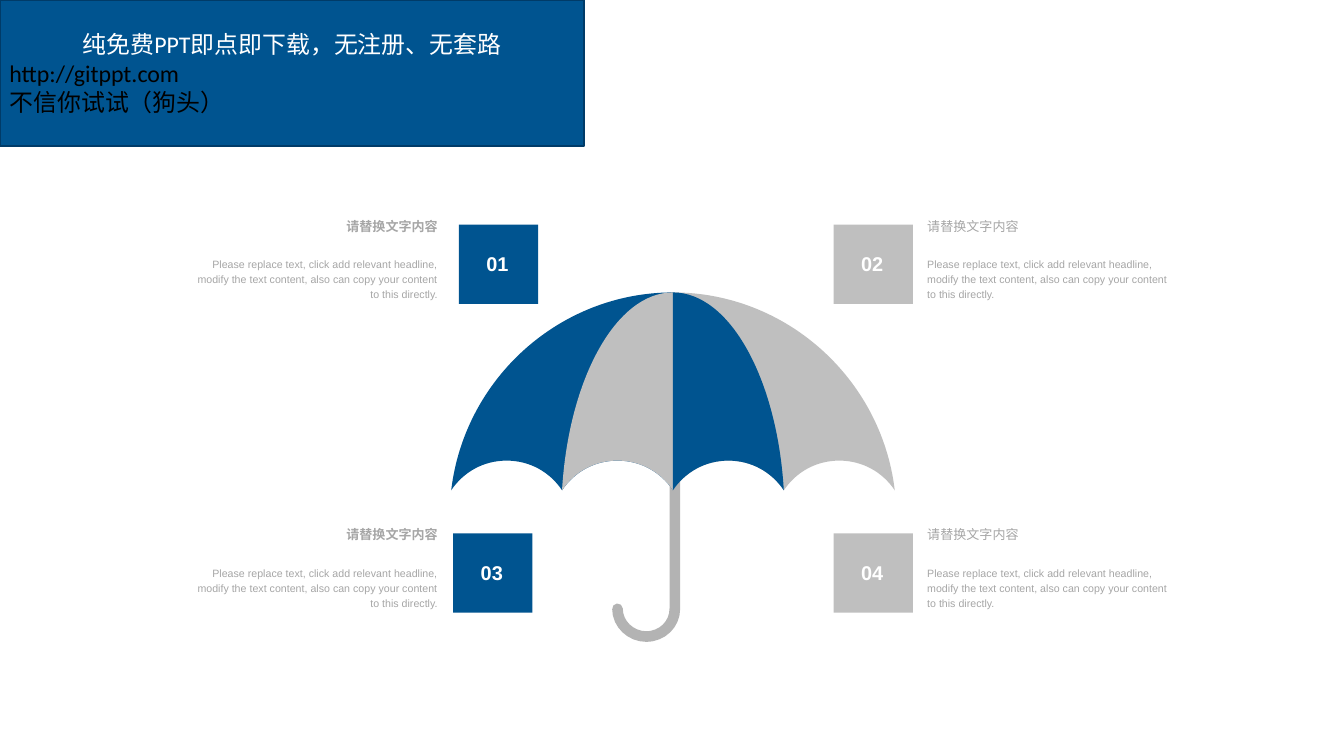
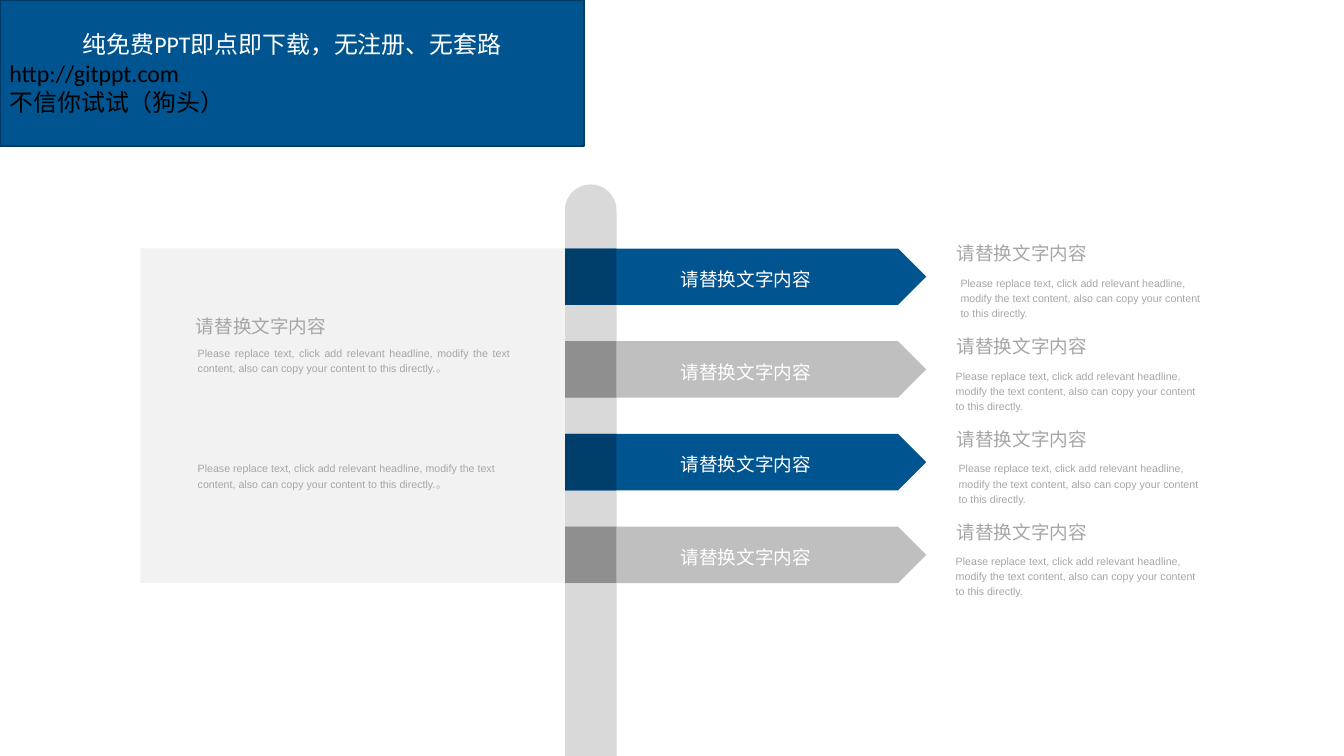
from lxml import etree
from pptx import Presentation
from pptx.dml.color import RGBColor
from pptx.enum.shapes import MSO_SHAPE as Shape
from pptx.enum.text import MSO_ANCHOR as Anchor, PP_ALIGN as Align
from pptx.oxml.ns import qn
from pptx.util import Inches, Pt

BLUE, NAVY, GRAY, DARK_GRAY = "005490", "003F6C", "BFBFBF", "8F8F8F"
TEXT, WHITE, BLACK = "A6A6A6", "FFFFFF", "000000"
HEADING = "请替换文字内容"
BODY = ("Please replace text, click add relevant headline, modify the text "
        "content, also can copy your content to this directly.")

TIGHT = dict(margin_left=0, margin_right=0, margin_top=0, margin_bottom=0)
HEAD_TIGHT = dict(TIGHT, margin_top=0.11, margin_bottom=0.11)
PADDED = dict(margin_left=0.1, margin_right=0.1, margin_top=0.05, margin_bottom=0.05)


def paint(sp, fill):
    """Give a shape a flat fill without outline or shadow."""
    sp.shadow.inherit = False
    sp.fill.solid()
    sp.fill.fore_color.rgb = RGBColor.from_string(fill)
    sp.line.fill.background()
    return sp


def write(sp, text, size, margins, color=TEXT, align=Align.LEFT, spacing=1.2,
          bold=False, anchor=Anchor.TOP, font="Arial"):
    """Add a paragraph to a shape or text box, filling an empty first one."""
    tf = sp.text_frame
    tf.word_wrap = True
    tf.vertical_anchor = anchor
    for side, gap in margins.items():
        setattr(tf, side, Inches(gap))
    p = tf.add_paragraph() if tf.text else tf.paragraphs[0]
    p.alignment, p.line_spacing = align, spacing
    r = p.add_run()
    r.text = text
    for name, value in dict(name=font, size=Pt(size), bold=bold).items():
        setattr(r.font, name, value)
    r.font.color.rgb = RGBColor.from_string(color)


prs = Presentation()
prs.slide_width, prs.slide_height = Inches(14.06), Inches(7.91)
umbrella, signpost = [prs.slides.add_slide(prs.slide_layouts[6]) for _ in range(2)]

# Band shared by both slides
for s in (umbrella, signpost):
    band = paint(s.shapes.add_shape(Shape.RECTANGLE, 0, 0, Inches(6.11), Inches(1.53)), BLUE)
    band.line.color.rgb = RGBColor.from_string("003B68")
    band.line.width = Pt(1)
    for text, color, align in (("纯免费PPT即点即下载，无注册、无套路", WHITE, Align.CENTER),
                               ("http://gitppt.com", BLACK, Align.LEFT),
                               ("不信你试试（狗头）", BLACK, Align.LEFT)):
        write(band, text, 18, PADDED, color, align, 1.0, anchor=Anchor.MIDDLE, font="Calibri")

# Umbrella outlines: a start, then control and end points of each curve.
# The handle ends with a straight shaft; inner canopy panels lie on the outer ones.
outlines = [([(6.46, 6.37), (6.46, 6.53), (6.6, 6.66), (6.76, 6.66),
              (6.93, 6.66), (7.06, 6.53), (7.06, 6.37), (7.06, 3.99)], None)]
mid_x, top, rim, arch, rib = 7.04, 3.06, 5.13, 4.82, 1.16
for span, color in ((2, GRAY), (-2, BLUE), (-1, GRAY), (1, BLUE)):
    reach = span * rib
    step = -rib if span > 0 else rib
    points = [(mid_x, top), (mid_x + 0.51 * reach, top),
              (mid_x + 0.94 * reach, 3.96), (mid_x + reach, rim)]
    for i in range(abs(span)):
        points += [(mid_x + reach + (i + share) * step, y) for share, y in (
            (0.11, 4.94), (0.29, arch), (0.5, arch), (0.71, arch), (0.89, 4.94), (1, rim))]
    outlines.append((points, color))

for points, color in outlines:
    points = [(Inches(x), Inches(y)) for x, y in points]
    outline = umbrella.shapes.build_freeform(*points[0], scale=1.0)
    outline.add_line_segments(points[1:], close=color is not None)
    sp = outline.convert_to_shape()
    segments = list(sp._element.iter(qn("a:lnTo")))
    for i in range(0, len(segments) - 2, 3):
        curve = etree.Element(qn("a:cubicBezTo"))
        segments[i].addprevious(curve)
        for segment in segments[i:i + 3]:
            curve.append(segment[0])
            segment.getparent().remove(segment)
    if color:
        paint(sp, color)
    else:
        sp.shadow.inherit = False
        sp.fill.background()
        sp.line.color.rgb = RGBColor.from_string("B3B3B3")
        sp.line.width = Pt(8)
        sp.line._get_or_add_ln().set("cap", "rnd")

# Four numbered notes: square x, text x
notes = ((4.8, 1.98), (8.72, 9.7), (4.74, 1.98), (8.72, 9.7))
for i, (square_x, text_x) in enumerate(notes):
    row, col = divmod(i, 2)
    y = 2.17 + 3.23 * row
    align = Align.LEFT if col else Align.RIGHT
    head = umbrella.shapes.add_textbox(Inches(text_x), Inches(y + 0.03), Inches(2.6), Inches(0.39))
    write(head, HEADING, 9.8, HEAD_TIGHT, align=align, spacing=1.0, bold=not col)
    body = umbrella.shapes.add_textbox(Inches(text_x), Inches(y + 0.5), Inches(2.6), Inches(0.68))
    write(body, BODY, 8, TIGHT, align=align)
    square = umbrella.shapes.add_shape(Shape.RECTANGLE, Inches(square_x), Inches(y + 0.18),
                                       Inches(0.83), Inches(0.83))
    write(paint(square, GRAY if col else BLUE), f"{i + 1:02}", 15,
          dict(TIGHT, margin_right=0.02, margin_bottom=0.06), WHITE, Align.CENTER,
          bold=True, anchor=Anchor.MIDDLE)

# Signpost: pole, then four arrows with their notes
pole_x, pole_w, arrow_top, pitch, arrow_h = 5.91, 0.54, 2.6, 0.97, 0.59
pole = signpost.shapes.add_shape(Shape.ROUND_2_SAME_RECTANGLE, Inches(pole_x), Inches(1.93),
                                 Inches(pole_w), Inches(5.98))
pole.adjustments[0] = 0.5
paint(pole, "D9D9D9")
for i, body_x in enumerate((9.95, 9.9, 9.93, 9.9)):
    y = arrow_top + pitch * i
    color, shade = ((BLUE, NAVY), (GRAY, DARK_GRAY))[i % 2]
    arrow = signpost.shapes.add_shape(Shape.PENTAGON, Inches(pole_x), Inches(y),
                                      Inches(3.78), Inches(arrow_h))
    write(paint(arrow, color), HEADING, 14, dict(PADDED, margin_left=0.25), WHITE,
          Align.CENTER, anchor=Anchor.MIDDLE)
    paint(signpost.shapes.add_shape(Shape.RECTANGLE, Inches(pole_x), Inches(y),
                                    Inches(pole_w), Inches(arrow_h)), shade)
    head = signpost.shapes.add_textbox(Inches(9.91), Inches(y - 0.16), Inches(1.7), Inches(0.38))
    write(head, HEADING, 14, PADDED)
    body = signpost.shapes.add_textbox(Inches(body_x), Inches(y + 0.22), Inches(2.73), Inches(0.58))
    write(body, BODY, 8, PADDED)

# Panel left of the pole
panel_x = 1.47
paint(signpost.shapes.add_shape(Shape.RECTANGLE, Inches(panel_x), Inches(arrow_top),
                                Inches(pole_x - panel_x), Inches(3 * pitch + arrow_h)), "F2F2F2")
head = signpost.shapes.add_textbox(Inches(1.95), Inches(3.2), Inches(1.68), Inches(0.38))
write(head, HEADING, 14, PADDED)
for y, align in ((3.55, Align.JUSTIFY), (4.76, Align.LEFT)):
    body = signpost.shapes.add_textbox(Inches(1.97), Inches(y), Inches(3.47), Inches(0.42))
    write(body, BODY + "。", 8, PADDED, align=align)

prs.save("out.pptx")
